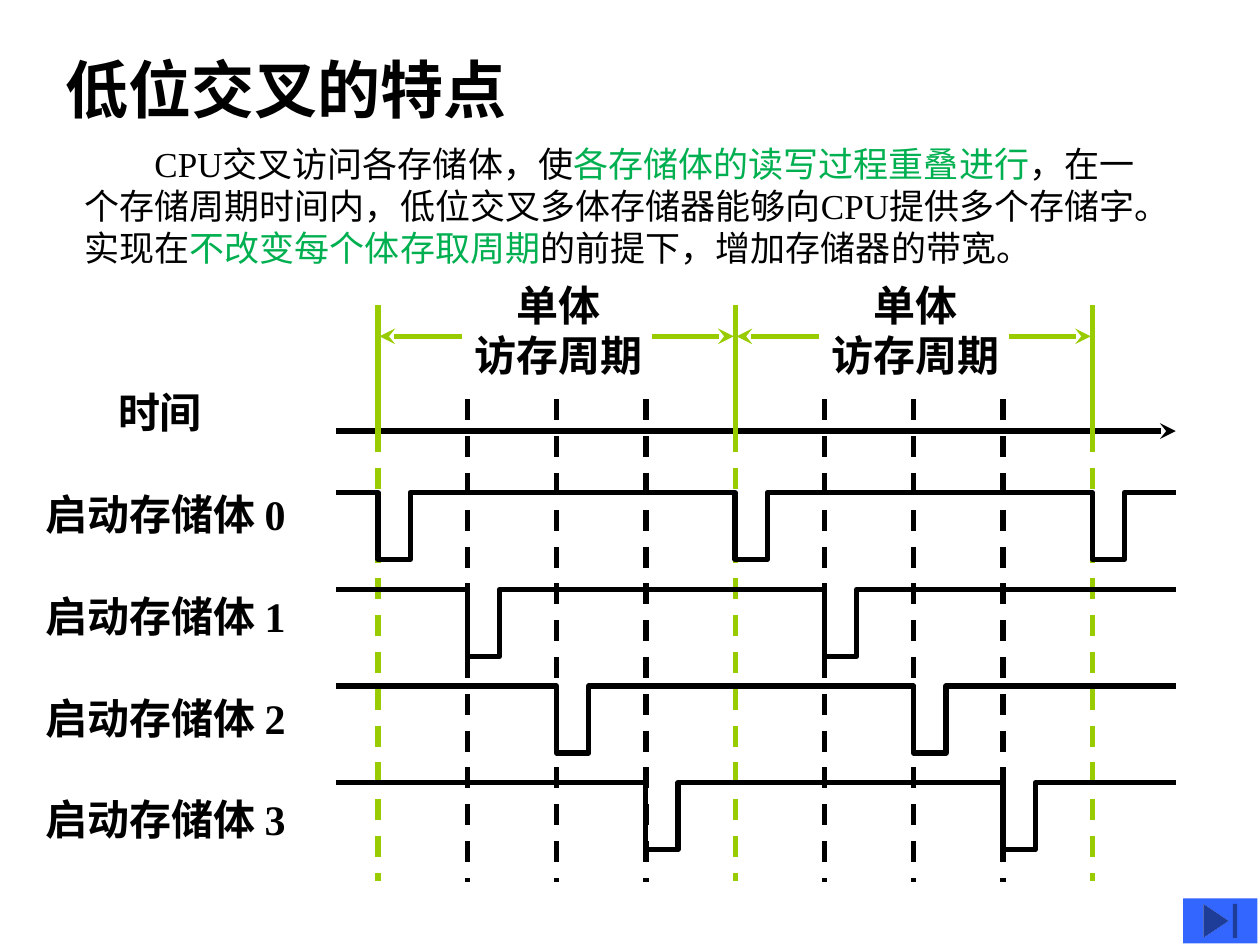
from pptx import Presentation
from pptx import util as u
from pptx.dml.color import RGBColor
from pptx.enum import dml, shapes, text
from pptx.oxml.ns import qn
from lxml import etree

BLACK = RGBColor(0, 0, 0)
LIME = RGBColor(0x99, 0xCC, 0x00)
GREEN = RGBColor(0x00, 0xB0, 0x50)
BLUE = RGBColor(0x33, 0x66, 0xFF)
HEAD = {"name": "Times New Roman", "size": u.Pt(36), "bold": True}
BODY = {"name": "Times New Roman", "size": u.Pt(20), "bold": False}
LABEL = {"name": "Times New Roman", "size": u.Pt(24), "bold": True}

deck = Presentation()
deck.slide_width, deck.slide_height = u.Cm(25.4), u.Cm(19.05)
slide = deck.slides.add_slide(deck.slide_layouts[1])
items = slide.shapes


def write(box, place, lines, style, align, wrap):
    box.left, box.top, box.width, box.height = [u.Cm(n) for n in place]
    frame = box.text_frame
    frame.auto_size = text.MSO_AUTO_SIZE.NONE
    frame.word_wrap = wrap
    frame.vertical_anchor = text.MSO_ANCHOR.TOP
    for i, runs in enumerate(lines):
        para = frame.add_paragraph() if i else frame.paragraphs[0]
        para.alignment = align
        para.space_before = u.Pt(0)
        for words, color in runs:
            run = para.add_run()
            run.text = words
            for key, value in style.items():
                setattr(run.font, key, value)
            run.font.color.rgb = color


def draw(x1, y1, x2, y2, color, dash=False, arrow=False):
    line = items.add_connector(shapes.MSO_CONNECTOR.STRAIGHT,
                               *[u.Cm(n) for n in (x1, y1, x2, y2)])
    line.line.color.rgb = color
    line.line.width = u.Pt(3)
    if dash:
        line.line.dash_style = dml.MSO_LINE.DASH
    if arrow:
        etree.SubElement(line.line._get_or_add_ln(), qn("a:tailEnd"), type="stealth")
    etree.SubElement(line._element.spPr, qn("a:effectLst"))


left, right = 6.78, 23.7
zero, cycle, step = 7.62, 7.2, 1.8
marks = [zero + cycle * i for i in range(3)]

write(items.title, (1.07, 0.89, 9.55, 1.78), [[("低位交叉的特点", BLACK)]],
      HEAD, text.PP_ALIGN.LEFT, False)

body = slide.placeholders[1]
write(body, (1.45, 2.74, 22.23, 2.8), [[
    ("CPU交叉访问各存储体，使", BLACK),
    ("各存储体的读写过程重叠进行", GREEN),
    ("，在一个存储周期时间内，低位交叉多体存储器能够向CPU提供多个存储字。实现在", BLACK),
    ("不改变每个体存取周期", GREEN),
    ("的前提下，增加存储器的带宽。", BLACK),
]], BODY, text.PP_ALIGN.LEFT, True)
props = body.text_frame.paragraphs[0]._p.get_or_add_pPr()
props.set("marL", "0")
props.set("indent", str(u.Cm(1.41)))
etree.SubElement(props, qn("a:buNone"))

for mark in marks[:2]:
    for k in range(1, 4):
        draw(mark + step * k, 8.05, mark + step * k, 17.78, BLACK, dash=True)
for mark in marks:
    draw(mark, 8.69, mark, 17.75, LIME, dash=True)

write(items.add_textbox(0, 0, 0, 0), (2.13, 7.67, 2.18, 1.27),
      [[("时间", BLACK)]], LABEL, text.PP_ALIGN.LEFT, False)
draw(left, 8.69, right, 8.69, BLACK, arrow=True)

for mark in marks[:2]:
    write(items.add_textbox(0, 0, 0, 0), (mark + 1.7, 5.51, 3.89, 2.29),
          [[("单体", BLACK)], [("访存周期", BLACK)]],
          LABEL, text.PP_ALIGN.CENTER, False)
    draw(mark + 1.7, 6.78, mark + 0.03, 6.78, LIME, arrow=True)
    draw(mark + 5.52, 6.78, mark + cycle - 0.03, 6.78, LIME, arrow=True)
for mark in marks:
    draw(mark, 6.15, mark, 8.89, LIME)

for k in range(4):
    high = 9.93 + 1.95 * k
    low = high + 1.35
    points = []
    for mark in marks:
        fall = mark + step * k
        rise = fall + 0.65
        if rise < right:
            points += [(fall, high), (fall, low), (rise, low), (rise, high)]
    points.append((right, high))
    path = items.build_freeform(u.Cm(left), u.Cm(high))
    path.add_line_segments([(u.Cm(x), u.Cm(y)) for x, y in points], close=False)
    wave = path.convert_to_shape()
    wave.shadow.inherit = False
    wave.fill.background()
    wave.line.color.rgb = BLACK
    wave.line.width = u.Pt(3)
    write(items.add_textbox(0, 0, 0, 0), (0.66, 9.73 + 2.05 * k, 5.56, 1.27),
          [[(f"启动存储体 {k}", BLACK)]], LABEL, text.PP_ALIGN.LEFT, False)

end = items.add_shape(shapes.MSO_SHAPE.ACTION_BUTTON_END,
                      *[u.Cm(n) for n in (23.85, 18.11, 1.5, 0.91)])
end.shadow.inherit = False
end.fill.solid()
end.fill.fore_color.rgb = BLUE
end.line.fill.background()

deck.save("out.pptx")
